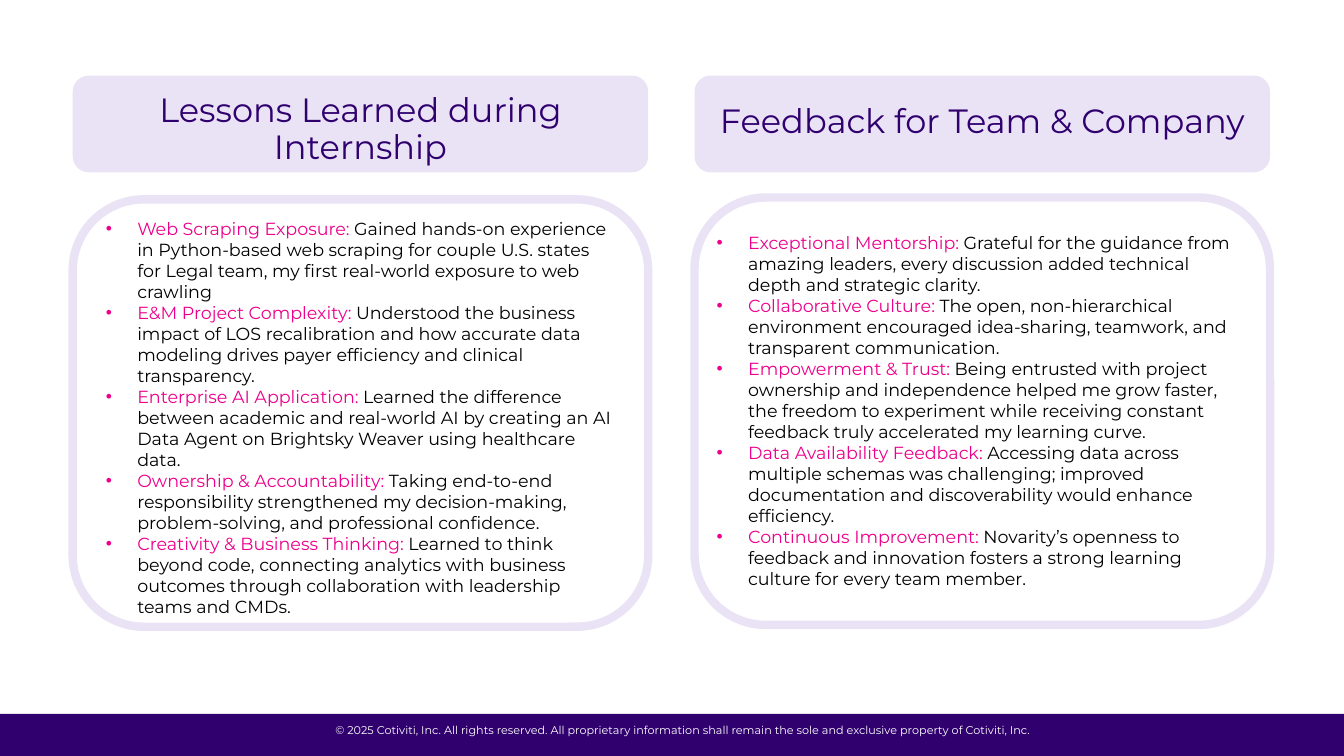
from dataclasses import dataclass

from lxml.etree import SubElement
from pptx import Presentation
from pptx.dml.color import RGBColor
from pptx.enum.shapes import MSO_SHAPE as Preset
from pptx.enum.text import PP_ALIGN as Align
from pptx.oxml.ns import qn
from pptx.shapes.autoshape import Shape
from pptx.slide import Slide
from pptx.util import Pt


@dataclass(frozen=True)
class Theme:
    font: str = "Montserrat"
    purple: str = "30006F"
    lavender: str = "E9E3F5"
    pink: str = "EC008C"
    black: str = "000000"
    white: str = "FFFFFF"
    heading_size: float = 24
    body_size: float = 12.5
    footer_size: float = 8


@dataclass(frozen=True)
class Box:
    left: float
    top: float
    width: float
    height: float


@dataclass(frozen=True)
class Point:
    label: str
    detail: str


@dataclass(frozen=True)
class Column:
    left: float
    heading: str
    heading_top: float
    frame_top: float
    body: Box
    points: tuple[Point, ...]


THEME = Theme()
SLIDE_WIDTH, SLIDE_HEIGHT = 960, 540
COLUMN_WIDTH = 411.1
HEADER_TOP, HEADER_HEIGHT = 54, 69.1
FRAME_HEIGHT, FRAME_LINE = 305.3, 6
HEADING_HEIGHT = 26.6
BULLET_INDENT = 22.5
FOOTER_BAR = Box(0, 510, SLIDE_WIDTH, 30)
FOOTER_TEXT = Box(231.1, 517, 514.1, 17)
FOOTER = (
    "© 2025 Cotiviti, Inc. All rights reserved. All proprietary information "
    "shall remain the sole and exclusive property of Cotiviti, Inc."
)

COLUMNS = (
    Column(
        51.9, "Lessons Learned during Internship", 67, 142.4,
        Box(75.6, 155.5, 364.3, 291.6),
        (
            Point("Web Scraping Exposure: ",
                  "Gained hands-on experience in Python-based web scraping for couple U.S. "
                  "states for Legal team, my first real-world exposure to web crawling"),
            Point("E&M Project Complexity: ",
                  "Understood the business impact of LOS recalibration and how accurate data "
                  "modeling drives payer efficiency and clinical transparency."),
            Point("Enterprise AI Application: ",
                  "Learned the difference between academic and real-world AI by creating an "
                  "AI Data Agent on Brightsky Weaver using healthcare data."),
            Point("Ownership & Accountability: ",
                  "Taking end-to-end responsibility strengthened my decision-making, "
                  "problem-solving, and professional confidence."),
            Point("Creativity & Business Thinking: ",
                  "Learned to think beyond code, connecting analytics with business outcomes "
                  "through collaboration with leadership teams and CMDs."),
        ),
    ),
    Column(
        496.1, "Feedback for Team & Company", 74.9, 141.1,
        Box(511.9, 165.6, 378.7, 257.8),
        (
            Point("Exceptional Mentorship: ",
                  "Grateful for the guidance from amazing leaders, every discussion added "
                  "technical depth and strategic clarity."),
            Point("Collaborative Culture: ",
                  "The open, non-hierarchical environment encouraged idea-sharing, teamwork, "
                  "and transparent communication."),
            Point("Empowerment & Trust: ",
                  "Being entrusted with project ownership and independence helped me grow "
                  "faster, the freedom to experiment while receiving constant feedback truly "
                  "accelerated my learning curve."),
            Point("Data Availability Feedback: ",
                  "Accessing data across multiple schemas was challenging; improved "
                  "documentation and discoverability would enhance efficiency."),
            Point("Continuous Improvement: ",
                  "Novarity’s openness to feedback and innovation fosters a strong learning "
                  "culture for every team member."),
        ),
    ),
)


def lengths(box: Box) -> tuple[Pt, Pt, Pt, Pt]:
    return Pt(box.left), Pt(box.top), Pt(box.width), Pt(box.height)


def add_panel(slide: Slide, preset: Preset, box: Box, fill: str) -> Shape:
    shape = slide.shapes.add_shape(preset, *lengths(box))
    shape.shadow.inherit = False
    shape.fill.solid()
    shape.fill.fore_color.rgb = RGBColor.from_string(fill)
    shape.line.fill.background()
    return shape


def add_frame(slide: Slide, box: Box) -> None:
    """Draw an unfilled rounded panel with a thick outline."""
    shape = add_panel(slide, Preset.ROUNDED_RECTANGLE, box, THEME.white)
    shape.fill.background()
    shape.line.color.rgb = RGBColor.from_string(THEME.lavender)
    shape.line.width = Pt(FRAME_LINE)


def add_text_box(slide: Slide, box: Box, wrap: bool = True) -> Shape:
    shape = slide.shapes.add_textbox(*lengths(box))
    frame = shape.text_frame
    frame.word_wrap = wrap
    frame.margin_left = frame.margin_right = Pt(0)
    frame.margin_top = frame.margin_bottom = Pt(0)
    return shape


def style_run(run, size: float, color: str) -> None:
    run.font.name = THEME.font
    run.font.size = Pt(size)
    run.font.color.rgb = RGBColor.from_string(color)


def add_centred_line(slide: Slide, box: Box, text: str, size: float, color: str,
                     spacing: float = 1.0, wrap: bool = True) -> None:
    frame = add_text_box(slide, box, wrap).text_frame
    frame.text = text
    paragraph = frame.paragraphs[0]
    paragraph.alignment = Align.CENTER
    paragraph.line_spacing = spacing
    style_run(paragraph.runs[0], size, color)


def set_bullet(paragraph) -> None:
    """Give the paragraph a hanging indent and a round pink bullet."""
    properties = paragraph._p.get_or_add_pPr()
    properties.set("marL", str(Pt(BULLET_INDENT)))
    properties.set("indent", str(-Pt(BULLET_INDENT)))
    SubElement(properties, qn("a:buFont")).set("typeface", "Arial")
    SubElement(properties, qn("a:buChar")).set("char", "•")


def add_points(slide: Slide, box: Box, points: tuple[Point, ...]) -> None:
    frame = add_text_box(slide, box).text_frame
    for index, point in enumerate(points):
        paragraph = frame.add_paragraph() if index else frame.paragraphs[0]
        set_bullet(paragraph)
        for text, color in ((point.label, THEME.pink), (point.detail, THEME.black)):
            run = paragraph.add_run()
            run.text = text
            style_run(run, THEME.body_size, color)


def add_column(slide: Slide, column: Column) -> None:
    header = Box(column.left, HEADER_TOP, COLUMN_WIDTH, HEADER_HEIGHT)
    heading = Box(column.left, column.heading_top, COLUMN_WIDTH, HEADING_HEIGHT)
    add_panel(slide, Preset.ROUNDED_RECTANGLE, header, THEME.lavender)
    add_frame(slide, Box(column.left, column.frame_top, COLUMN_WIDTH, FRAME_HEIGHT))
    add_centred_line(slide, heading, column.heading, THEME.heading_size, THEME.purple, 0.9)
    add_points(slide, column.body, column.points)


def main() -> None:
    presentation = Presentation()
    presentation.slide_width, presentation.slide_height = Pt(SLIDE_WIDTH), Pt(SLIDE_HEIGHT)
    slide = presentation.slides.add_slide(presentation.slide_layouts[6])
    add_panel(slide, Preset.RECTANGLE, FOOTER_BAR, THEME.purple)
    add_centred_line(slide, FOOTER_TEXT, FOOTER, THEME.footer_size, THEME.white, wrap=False)
    for column in COLUMNS:
        add_column(slide, column)
    presentation.save("out.pptx")


if __name__ == "__main__":
    main()
